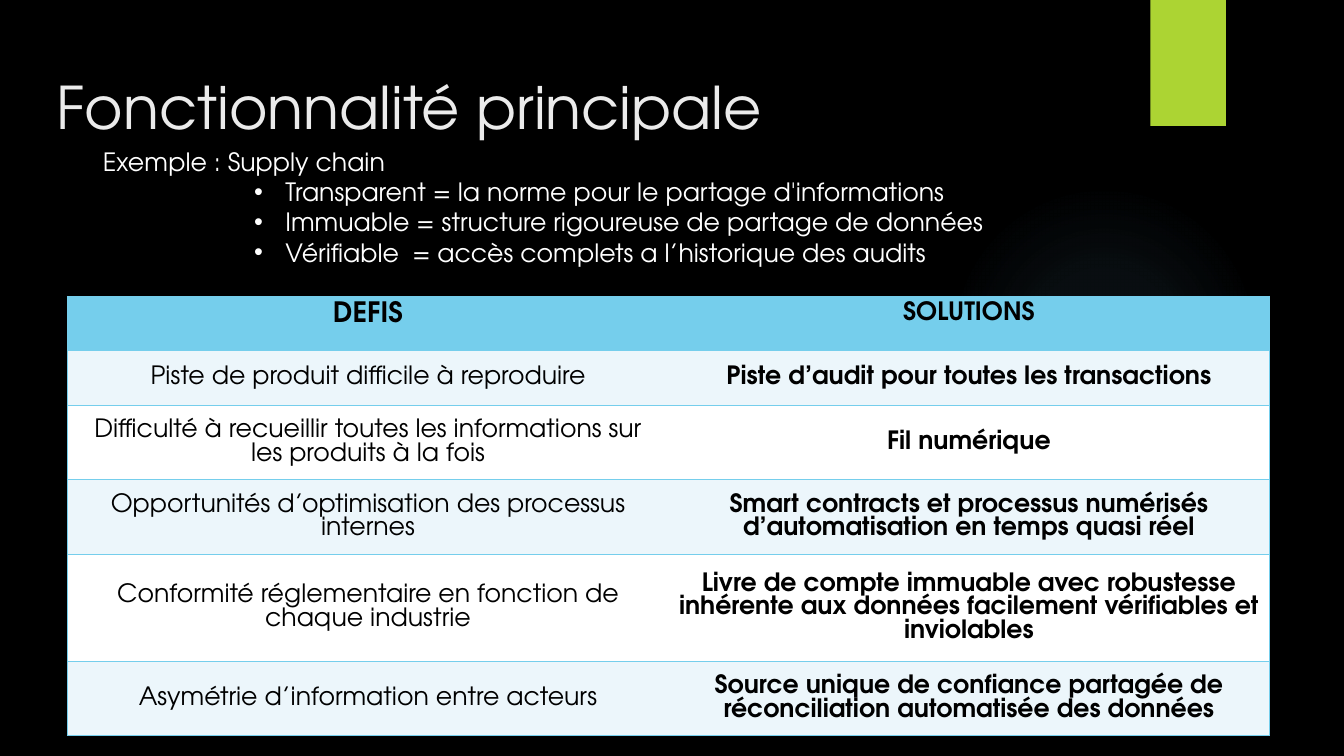
from dataclasses import dataclass

import lxml.etree
import pptx
import pptx.dml.color
import pptx.enum.shapes
import pptx.enum.text
import pptx.oxml
import pptx.oxml.ns
import pptx.util

Inches = pptx.util.Inches
RGBColor = pptx.dml.color.RGBColor
Align = pptx.enum.text.PP_ALIGN
Anchor = pptx.enum.text.MSO_ANCHOR
Kind = pptx.enum.shapes.MSO_SHAPE
qn = pptx.oxml.ns.qn

FONT = "TeX Gyre Adventor"
BLACK = RGBColor(0x00, 0x00, 0x00)
WHITE = RGBColor(0xFF, 0xFF, 0xFF)
LIGHT = RGBColor(0xEB, 0xEB, 0xEB)
GREEN = RGBColor(0xAC, 0xD4, 0x33)
SKY = RGBColor(0x75, 0xCE, 0xEC)
PALE = RGBColor(0xEC, 0xF6, 0xFB)
GLOW = RGBColor(0x7A, 0xC4, 0xF0)


@dataclass
class Row:
    height: float
    issue: str
    answer: str


ROWS = [
    Row(0.54, "DEFIS", "SOLUTIONS"),
    Row(0.54, "Piste de produit difficile à reproduire",
        "Piste d’audit pour toutes les transactions"),
    Row(0.74, "Difficulté à recueillir toutes les informations sur les produits à la fois",
        "Fil numérique"),
    Row(0.74, "Opportunités d’optimisation des processus internes",
        "Smart contracts et processus numérisés d’automatisation en temps quasi réel"),
    Row(1.06, "Conformité réglementaire en fonction de chaque industrie",
        "Livre de compte immuable avec robustesse inhérente aux données "
        "facilement vérifiables et inviolables"),
    Row(0.74, "Asymétrie d’information entre acteurs",
        "Source unique de confiance partagée de réconciliation automatisée des données"),
]
POINTS = [
    "Transparent = la norme pour le partage d'informations",
    "Immuable = structure rigoureuse de partage de données",
    "Vérifiable\t = accès complets a l’historique des audits",
]


def place(shape, left: float, top: float, width: float, height: float) -> None:
    shape.left, shape.top = Inches(left), Inches(top)
    shape.width, shape.height = Inches(width), Inches(height)


def write(para, text: str, size: float, color: RGBColor, bold: bool = False) -> None:
    run = para.add_run()
    run.text = text
    run.font.name = FONT
    run.font.size = pptx.util.Pt(size)
    run.font.bold = bold
    run.font.color.rgb = color


def indent(para, left: float, hang: float, mark: str = "") -> None:
    props = para._p.get_or_add_pPr()
    props.set("marL", str(Inches(left)))
    props.set("indent", str(Inches(hang)))
    if mark:
        font = lxml.etree.SubElement(props, qn("a:buFont"))
        font.set("typeface", "Arial")
        lxml.etree.SubElement(props, qn("a:buChar")).set("char", mark)
    else:
        lxml.etree.SubElement(props, qn("a:buNone"))


def border(cell, sides: str) -> None:
    """Draw the named sides in blue and clear the others."""
    props = cell._tc.get_or_add_tcPr()
    for spot, side in enumerate("LRTB"):
        line = lxml.etree.Element(qn(f"a:ln{side}"), w=str(pptx.util.Pt(1)))
        if side in sides:
            fill = lxml.etree.SubElement(line, qn("a:solidFill"))
            lxml.etree.SubElement(fill, qn("a:srgbClr")).set("val", str(SKY))
        else:
            lxml.etree.SubElement(line, qn("a:noFill"))
        props.insert(spot, line)


def add_glow(slide) -> None:
    glow = slide.shapes.add_shape(Kind.OVAL, Inches(9.41), Inches(1.83),
                                  Inches(3.08), Inches(3.08))
    glow.shadow.inherit = False
    glow.line.fill.background()
    stops = "".join(
        f'<a:gs pos="{pos * 1000}"><a:srgbClr val="{GLOW}">'
        f'<a:alpha val="{alpha * 1000}"/></a:srgbClr></a:gs>'
        for pos, alpha in ((0, 7), (36, 6), (69, 0)))
    fill = pptx.oxml.parse_xml(
        f'<a:gradFill {pptx.oxml.ns.nsdecls("a")}><a:gsLst>{stops}</a:gsLst>'
        '<a:path path="circle"><a:fillToRect l="50000" t="50000" r="50000" b="50000"/>'
        '</a:path></a:gradFill>')
    glow.element.spPr.find(qn("a:prstGeom")).addnext(fill)
    slide.shapes.title.element.addprevious(glow.element)


def add_tab(slide) -> None:
    tab = slide.shapes.add_shape(Kind.RECTANGLE, Inches(11.41), 0, Inches(0.75), Inches(1.25))
    tab.shadow.inherit = False
    tab.fill.solid()
    tab.fill.fore_color.rgb = GREEN
    tab.line.fill.background()
    slide.shapes.title.element.addprevious(tab.element)


def add_title(slide) -> None:
    title = slide.shapes.title
    place(title, 0.46, 0.65, 10.29, 0.75)
    frame = title.text_frame
    frame.vertical_anchor = Anchor.TOP
    frame.auto_size = pptx.enum.text.MSO_AUTO_SIZE.NONE
    para = frame.paragraphs[0]
    para.alignment = Align.LEFT
    write(para, "Fonctionnalité principale", 42, LIGHT)


def add_list(slide) -> None:
    body = slide.placeholders[1]
    place(body, 0.92, 1.4, 11.42, 1.31)
    frame = body.text_frame
    frame.auto_size = pptx.enum.text.MSO_AUTO_SIZE.SHAPE_TO_FIT_TEXT
    for spot, text in enumerate(["Exemple : Supply chain", *POINTS]):
        para = frame.add_paragraph() if spot else frame.paragraphs[0]
        para.space_before = pptx.util.Pt(0)
        if spot:
            para.level = 3
            indent(para, 1.81, -0.31, "•")
        else:
            indent(para, 0, 0)
        write(para, text, 18, WHITE)


def add_grid(slide) -> None:
    total = sum(row.height for row in ROWS)
    grid = slide.shapes.add_table(len(ROWS), 2, Inches(0.67), Inches(2.94),
                                  Inches(11.92), Inches(total)).table
    for col in grid.columns:
        col.width = Inches(5.96)
    for r, row in enumerate(ROWS):
        grid.rows[r].height = Inches(row.height)
        head = r == 0
        for c, text in enumerate((row.issue, row.answer)):
            cell = grid.cell(r, c)
            cell.vertical_anchor = Anchor.TOP if head else Anchor.MIDDLE
            cell.fill.solid()
            cell.fill.fore_color.rgb = SKY if head else PALE if r % 2 else WHITE
            border(cell, "RTB" if c else "LTB")
            para = cell.text_frame.paragraphs[0]
            para.alignment = Align.CENTER
            write(para, text, 20 if head and c == 0 else 18, BLACK, head or c == 1)


def main() -> None:
    deck = pptx.Presentation()
    deck.slide_width, deck.slide_height = Inches(13.33), Inches(7.5)
    slide = deck.slides.add_slide(deck.slide_layouts[1])
    slide.background.fill.solid()
    slide.background.fill.fore_color.rgb = BLACK

    # Backdrop
    add_glow(slide)
    add_tab(slide)
    # Heading and list
    add_title(slide)
    add_list(slide)
    # Issues and answers
    add_grid(slide)
    deck.save("out.pptx")


if __name__ == "__main__":
    main()
